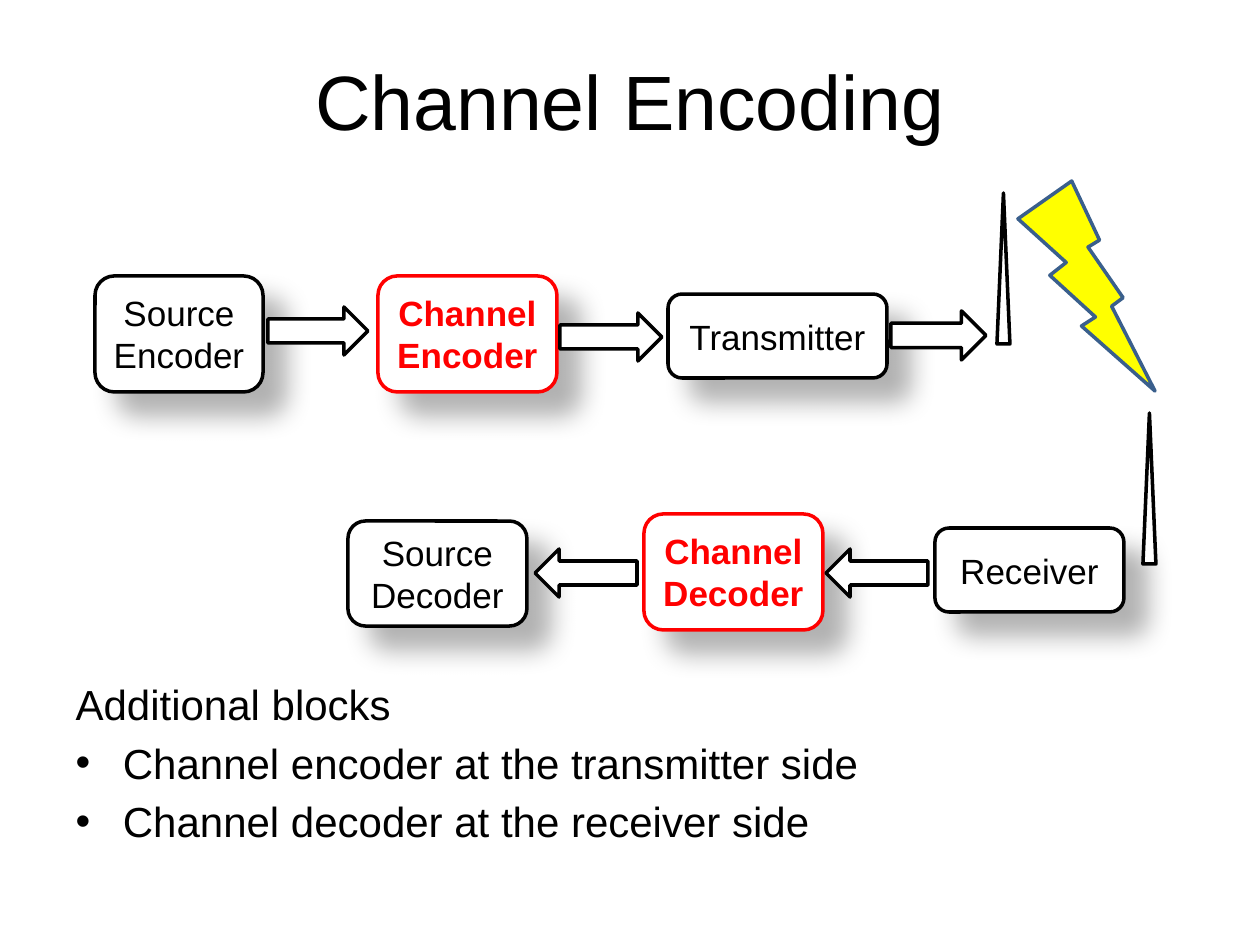
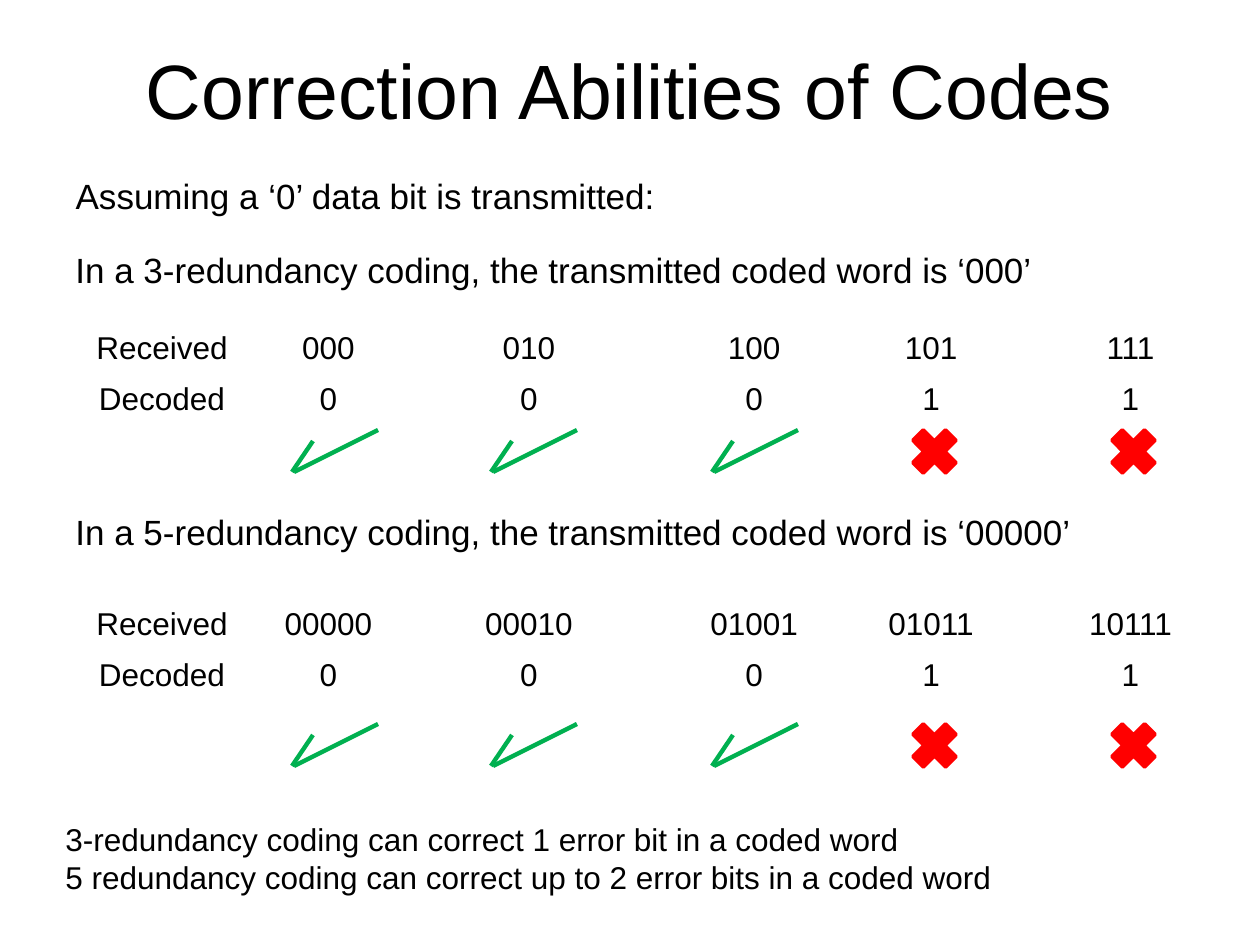
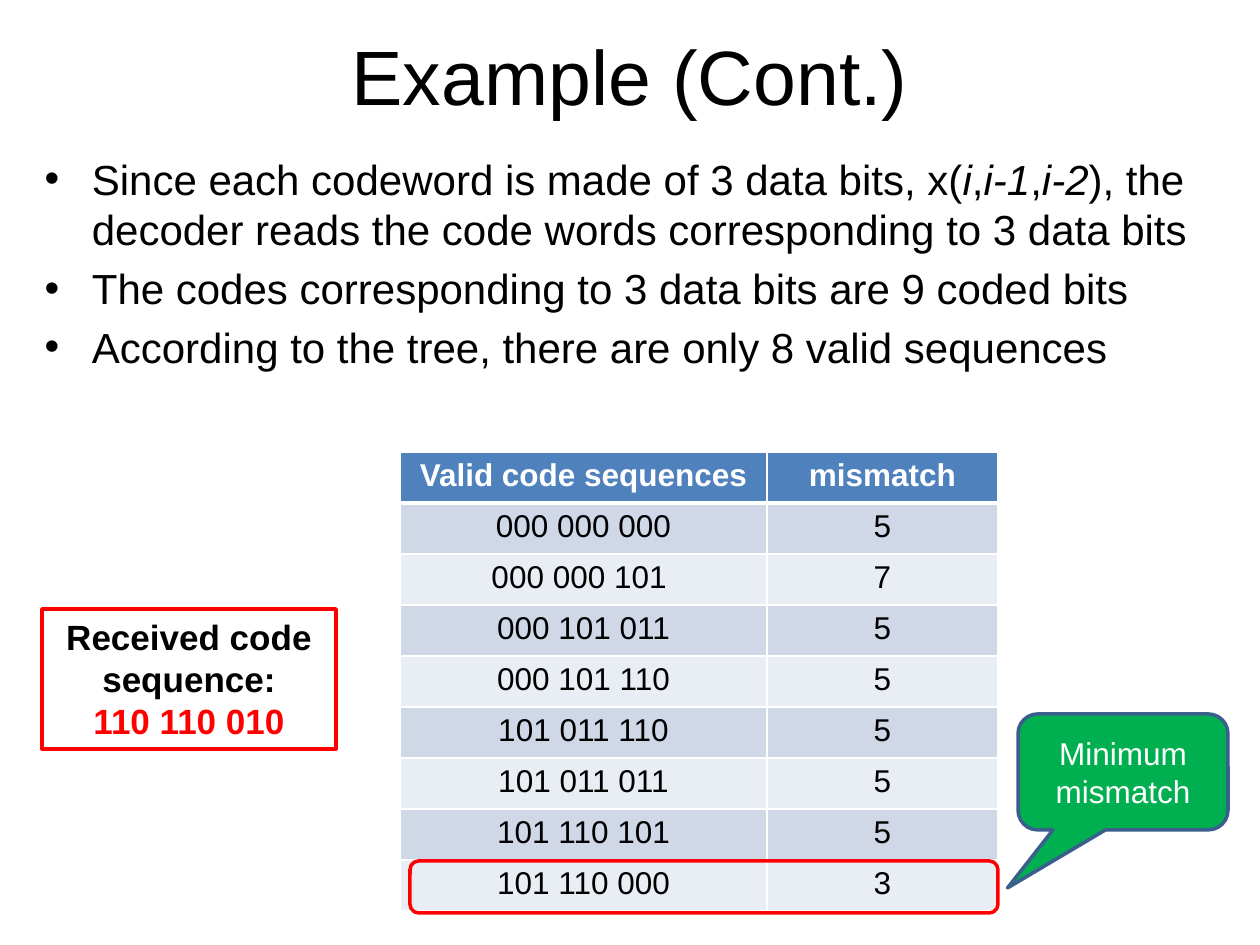
from lxml import etree
from pptx import Presentation
from pptx.dml.color import RGBColor
from pptx.enum.shapes import MSO_CONNECTOR, MSO_SHAPE
from pptx.enum.text import MSO_ANCHOR, MSO_AUTO_SIZE, PP_ALIGN
from pptx.oxml.ns import qn
from pptx.util import Emu, Pt

SCALE = 914400 / 126
FONT = "Arial"
BLACK, WHITE, RED, GREEN = "000000", "FFFFFF", "FF0000", "00B050"
YELLOW, NAVY, BLUE = "FFFF00", "3A5F8C", "4F81BD"
BANDS = ("D0D8E8", "E9EDF4")

CENTER, LEFT = PP_ALIGN.CENTER, PP_ALIGN.LEFT
TOP, MIDDLE = MSO_ANCHOR.TOP, MSO_ANCHOR.MIDDLE
NO_FIT, GROW = MSO_AUTO_SIZE.NONE, MSO_AUTO_SIZE.SHAPE_TO_FIT_TEXT
ROUNDED, RECTANGLE = MSO_SHAPE.ROUNDED_RECTANGLE, MSO_SHAPE.RECTANGLE
ARROW, MAST = MSO_SHAPE.RIGHT_ARROW, MSO_SHAPE.FLOWCHART_EXTRACT
BOLT, CROSS = MSO_SHAPE.LIGHTNING_BOLT, MSO_SHAPE.MATH_MULTIPLY
CALLOUT = MSO_SHAPE.ROUNDED_RECTANGULAR_CALLOUT
STRAIGHT = MSO_CONNECTOR.STRAIGHT


def px(length):
    return Emu(round(length * SCALE))


def box(*lengths):
    return [px(length) for length in lengths]


def rgb(colour):
    return RGBColor.from_string(colour)


def write_text(frame, *paragraphs, size=18, colour=BLACK, bold=None,
               align=None, before=None):
    for index, content in enumerate(paragraphs):
        paragraph = frame.add_paragraph() if index else frame.paragraphs[0]
        paragraph.alignment = align
        if before is not None:
            paragraph.space_before = Pt(before)
        pieces = [(content, {})] if isinstance(content, str) else content
        for words, changes in pieces:
            run = paragraph.add_run()
            run.text = words
            run.font.name = FONT
            run.font.size = Pt(size)
            run.font.bold = bold
            run.font.italic = changes.get("italic")
            run.font.color.rgb = rgb(changes.get("colour", colour))


def fill_placeholder(placeholder, place, *paragraphs, **text_format):
    placeholder.left, placeholder.top, placeholder.width, placeholder.height = box(*place)
    placeholder.text_frame.auto_size = NO_FIT
    write_text(placeholder.text_frame, *paragraphs, **text_format)


def add_titled_slide(deck, title, title_place, body_place, body, body_size):
    slide = deck.slides.add_slide(deck.slide_layouts[1])
    fill_placeholder(slide.shapes.title, title_place, title, size=44, align=CENTER)
    fill_placeholder(slide.placeholders[1], body_place, *body, size=body_size)
    return slide


def drop_bullet(paragraph):
    etree.SubElement(paragraph._p.get_or_add_pPr(), qn("a:buNone"))


def add_figure(slide, preset, place, fill=WHITE, line=BLACK, rotation=0):
    figure = slide.shapes.add_shape(preset, *box(*place))
    figure.shadow.inherit = False
    figure.rotation = rotation
    if fill:
        figure.fill.solid()
        figure.fill.fore_color.rgb = rgb(fill)
    else:
        figure.fill.background()
    figure.line.color.rgb = rgb(line)
    figure.line.width = Pt(2)
    return figure


def cast_shadow(figure):
    effects = figure._element.spPr.find(qn("a:effectLst"))
    shadow = etree.SubElement(effects, qn("a:outerShdw"), blurRad=str(Pt(15)),
                              dist=str(Pt(18)), dir="2700000", algn="ctr",
                              rotWithShape="0")
    tint = etree.SubElement(shadow, qn("a:srgbClr"), val=BLACK)
    etree.SubElement(tint, qn("a:alpha"), val="30000")


def add_block(slide, label, place, added=False):
    colour = RED if added else BLACK
    block = add_figure(slide, ROUNDED, place, line=colour)
    cast_shadow(block)
    block.text_frame.word_wrap = True
    block.text_frame.vertical_anchor = MIDDLE
    write_text(block.text_frame, label, size=20, colour=colour, bold=added, align=CENTER)


def add_note(slide, place, *paragraphs, **text_format):
    frame = slide.shapes.add_textbox(*box(*place)).text_frame
    frame.word_wrap = True
    write_text(frame, *paragraphs, align=LEFT, **text_format)


def set_borders(cell, bottom):
    properties = cell._tc.get_or_add_tcPr()
    for position, (side, width) in enumerate(
            (("lnL", 1), ("lnR", 1), ("lnT", 1), ("lnB", bottom))):
        border = etree.Element(qn(f"a:{side}"), w=str(Pt(width)))
        solid = etree.SubElement(border, qn("a:solidFill"))
        etree.SubElement(solid, qn("a:srgbClr"), val=WHITE)
        properties.insert(position, border)


def add_grid(slide, left, top, widths, rows, row_height=51, coloured=False):
    grid = slide.shapes.add_table(
        len(rows), len(widths),
        *box(left, top, sum(widths), row_height * len(rows))).table
    for column, width in zip(grid.columns, widths):
        column.width = px(width)
    for r, entries in enumerate(rows):
        grid.rows[r].height = px(row_height)
        heading = coloured and r == 0
        for c, entry in enumerate(entries):
            cell = grid.cell(r, c)
            if coloured:
                cell.fill.solid()
                cell.fill.fore_color.rgb = rgb(BLUE if heading else BANDS[(r - 1) % 2])
            else:
                cell.fill.background()
            set_borders(cell, bottom=1 if r else 3)
            if entry:
                write_text(cell.text_frame, entry, bold=heading, align=CENTER,
                           colour=WHITE if heading else BLACK)


def add_tick(slide, left, top):
    tick = slide.shapes.add_group_shape()
    for x1, y1, x2, y2 in ((21, 11, 0, 42), (86, 0, 2, 42)):
        stroke = tick.shapes.add_connector(
            STRAIGHT, *box(left + x1, top + y1, left + x2, top + y2))
        stroke.line.color.rgb = rgb(GREEN)
        stroke.line.width = Pt(2.5)
        etree.SubElement(stroke._element.spPr, qn("a:effectLst"))


def add_decoding(slide, heading, heading_top, grid_top, marks_top, received):
    add_note(slide, (63, heading_top, 1176, 84), heading, size=20, before=4)
    words = iter(received)
    decoded = iter("00011")
    used = (1, 3, 5, 6, 8)
    rows = [[label] + [next(values) if c in used else "" for c in range(1, 9)]
            for label, values in (("Received", words), ("Decoded", decoded))]
    add_grid(slide, 53, grid_top, (218, 115, 57, 172, 29, 218, 136, 74, 115), rows)
    for left in (292, 491, 712):
        add_tick(slide, left, marks_top + 10)
    for left in (903, 1102):
        add_figure(slide, CROSS, (left, marks_top, 63, 63), fill=RED, line=RED)


def build_channel_encoding(deck):
    slide = add_titled_slide(
        deck, "Channel Encoding", (63, 21, 1134, 158), (63, 672, 1134, 220),
        ("Additional blocks", "Channel encoder at the transmitter side",
         "Channel decoder at the receiver side"), 24)
    drop_bullet(slide.placeholders[1].text_frame.paragraphs[0])
    for label, place, added in (
            ("Source Encoder", (95, 276, 168, 116), False),
            ("Channel Encoder", (378, 276, 179, 116), True),
            ("Transmitter", (668, 294, 219, 84), False),
            ("Receiver", (935, 528, 189, 84), False),
            ("Channel Decoder", (644, 514, 179, 116), True),
            ("Source Decoder", (348, 521, 179, 105), False)):
        add_block(slide, label, place, added)
    for place, rotation in (
            ((268, 307, 100, 48), 0), ((560, 313, 102, 48), 0),
            ((891, 311, 95, 49), 0), ((826, 549, 102, 48), 180),
            ((535, 549, 102, 48), 180)):
        add_figure(slide, ARROW, place, rotation=rotation)
    for left, top in ((997, 193), (1143, 413)):
        add_figure(slide, MAST, (left, top, 13, 151))
    add_figure(slide, BOLT, (1018, 181, 137, 210), fill=YELLOW, line=NAVY)


def build_correction_abilities(deck):
    slide = add_titled_slide(
        deck, "Correction Abilities of Codes", (63, 10, 1134, 158),
        (63, 168, 1134, 84), ("Assuming a ‘0’ data bit is transmitted:",), 20)
    drop_bullet(slide.placeholders[1].text_frame.paragraphs[0])
    add_decoding(slide, "In a 3-redundancy coding, the transmitted coded word is ‘000’",
                 242, 325, 420, ("000", "010", "100", "101", "111"))
    add_decoding(slide, "In a 5-redundancy coding, the transmitted coded word is ‘00000’",
                 504, 601, 714, ("00000", "00010", "01001", "01011", "10111"))
    add_note(slide, (53, 814, 1124, 89),
             "3-redundancy coding can correct 1 error bit in a coded word",
             "5 redundancy coding can correct up to 2 error bits in a coded word")


def build_example(deck):
    italic = {"italic": True}
    codeword = [
        ("Since each codeword is made of 3 data bits, x(", {}), ("i", italic),
        (",", {}), ("i-1", italic), (",", {}), ("i-2", italic),
        ("), the decoder reads the code words corresponding to 3 data bits", {})]
    slide = add_titled_slide(
        deck, "Example (Cont.)", (63, 10, 1134, 130), (32, 147, 1197, 756),
        (codeword, "The codes corresponding to 3 data bits are 9 coded bits",
         "According to the tree, there are only 8 valid sequences"), 24)
    add_grid(slide, 400, 452, (367, 231), (
        ("Valid code sequences", "mismatch"),
        ("000 000 000", "5"), ("000 000 101 ", "7"), ("000 101 011", "5"),
        ("000 101 110", "5"), ("101 011 110", "5"), ("101 011 011", "5"),
        ("101 110 101", "5"), ("101 110 000", "3")), coloured=True)

    received = add_figure(slide, RECTANGLE, (42, 609, 294, 140), fill=None, line=RED)
    received.text_frame.word_wrap = True
    received.text_frame.auto_size = GROW
    received.text_frame.vertical_anchor = TOP
    write_text(received.text_frame, "Received code sequence:",
               [("110 110 010", {"colour": RED})], size=20, bold=True, align=CENTER)

    add_figure(slide, ROUNDED, (410, 861, 588, 52), fill=None, line=RED)
    minimum = add_figure(slide, CALLOUT, (1018, 714, 210, 116), fill=GREEN, line=NAVY)
    for index, value in enumerate((-0.55, 1.0, 0.17)):
        minimum.adjustments[index] = value
    minimum.text_frame.word_wrap = True
    minimum.text_frame.vertical_anchor = MIDDLE
    write_text(minimum.text_frame, "Minimum", "mismatch", colour=WHITE, align=CENTER)


def main():
    deck = Presentation()
    deck.slide_width, deck.slide_height = box(1260, 945)
    build_channel_encoding(deck)
    build_correction_abilities(deck)
    build_example(deck)
    deck.save("out.pptx")


if __name__ == "__main__":
    main()
